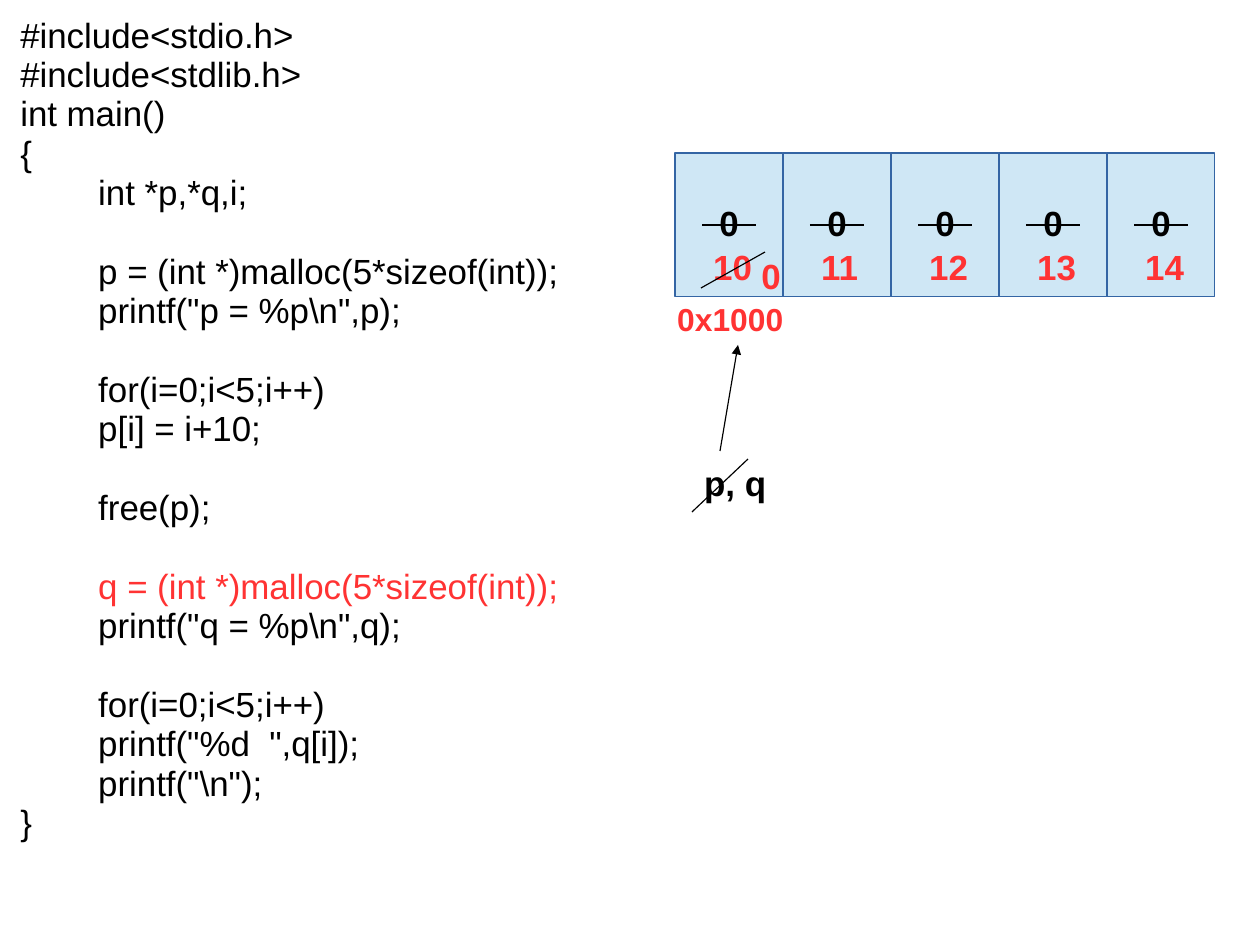
from dataclasses import dataclass

from lxml.etree import SubElement
from pptx import Presentation
from pptx.dml.color import RGBColor
from pptx.enum.shapes import MSO_CONNECTOR, MSO_SHAPE
from pptx.enum.text import MSO_ANCHOR, PP_ALIGN
from pptx.oxml.ns import qn
from pptx.slide import Slide
from pptx.text.text import TextFrame, _Paragraph
from pptx.util import Emu, Pt

EMU_PER_PIXEL = 8000


@dataclass(frozen=True)
class Theme:
    font: str = "Arial"
    black: RGBColor = RGBColor(0x00, 0x00, 0x00)
    red: RGBColor = RGBColor(0xFF, 0x33, 0x33)
    cell_fill: RGBColor = RGBColor(0xCF, 0xE7, 0xF5)
    cell_border: RGBColor = RGBColor(0x34, 0x65, 0xA4)
    text_size: float = 22
    address_size: float = 20
    line_width: float = 0.74
    line_spacing: float = 0.94
    blank_line: float = 24.8


THEME = Theme()


@dataclass(frozen=True)
class Area:
    left: int
    top: int
    width: int
    height: int

    def emu(self) -> list[Emu]:
        return [pixels(n) for n in (self.left, self.top, self.width, self.height)]


@dataclass(frozen=True)
class CodeLine:
    text: str
    indented: bool = True
    gap_before: bool = False
    color: RGBColor = THEME.black


@dataclass(frozen=True)
class Label:
    text: str
    area: Area
    color: RGBColor = THEME.red
    size: float = THEME.text_size


@dataclass(frozen=True)
class Stroke:
    start: tuple[int, int]
    end: tuple[int, int]
    arrow: bool = False


CODE_AREA = Area(9, 11, 598, 880)
CODE_INDENT = 78
CODE = [
    CodeLine("#include<stdio.h>", indented=False),
    CodeLine("#include<stdlib.h>", indented=False),
    CodeLine("int main()", indented=False),
    CodeLine("{", indented=False),
    CodeLine("int *p,*q,i;"),
    CodeLine("p = (int *)malloc(5*sizeof(int));", gap_before=True),
    CodeLine('printf("p = %p\\n",p);'),
    CodeLine("for(i=0;i<5;i++)", gap_before=True),
    CodeLine("p[i] = i+10;"),
    CodeLine("free(p);", gap_before=True),
    CodeLine("q = (int *)malloc(5*sizeof(int));", gap_before=True, color=THEME.red),
    CodeLine('printf("q = %p\\n",q);'),
    CodeLine("for(i=0;i<5;i++)", gap_before=True),
    CodeLine('printf("%d  ",q[i]);'),
    CodeLine('printf("\\n");'),
    CodeLine("}", indented=False),
]

FIRST_CELL = Area(675, 153, 108, 144)
STORED_VALUES = range(10, 15)

LABELS = [
    Label("0x1000", Area(666, 297, 135, 49), size=THEME.address_size),
    Label("p, q", Area(693, 459, 90, 53), color=THEME.black),
    Label("0", Area(750, 252, 48, 54)),
]
STROKES = [
    Stroke((720, 451), (738, 345), arrow=True),
    Stroke((765, 252), (701, 288)),
    Stroke((748, 459), (692, 512)),
]


def pixels(count: int) -> Emu:
    return Emu(count * EMU_PER_PIXEL)


def add_span(para: _Paragraph, text: str, color: RGBColor,
             size: float = THEME.text_size, bold: bool = False) -> None:
    para.line_spacing = THEME.line_spacing
    span = para.add_run()
    span.text = text
    span.font.name = THEME.font
    span.font.size = Pt(size)
    span.font.bold = bold
    span.font.color.rgb = color


def add_text_frame(page: Slide, area: Area) -> TextFrame:
    frame = page.shapes.add_textbox(*area.emu()).text_frame
    frame.word_wrap = True
    return frame


def add_code(page: Slide) -> None:
    frame = add_text_frame(page, CODE_AREA)
    for number, line in enumerate(CODE):
        para = frame.add_paragraph() if number else frame.paragraphs[0]
        if line.indented:
            para._p.get_or_add_pPr().set("marL", str(pixels(CODE_INDENT)))
        if line.gap_before:
            para.space_before = Pt(THEME.blank_line)
        add_span(para, line.text, line.color)


def add_label(page: Slide, label: Label) -> None:
    para = add_text_frame(page, label.area).paragraphs[0]
    add_span(para, label.text, label.color, label.size, bold=True)


def add_stroke(page: Slide, stroke: Stroke) -> None:
    ends = [pixels(n) for n in stroke.start + stroke.end]
    connector = page.shapes.add_connector(MSO_CONNECTOR.STRAIGHT, *ends)
    connector.line.color.rgb = THEME.black
    connector.line.width = Pt(THEME.line_width)
    if stroke.arrow:
        SubElement(connector.line._get_or_add_ln(), qn("a:tailEnd"), type="triangle")
    SubElement(connector._element.spPr, qn("a:effectLst"))


def add_cell(page: Slide, area: Area, value: int) -> None:
    box = page.shapes.add_shape(MSO_SHAPE.RECTANGLE, *area.emu())
    box.shadow.inherit = False
    box.fill.solid()
    box.fill.fore_color.rgb = THEME.cell_fill
    box.line.color.rgb = THEME.cell_border
    box.line.width = Pt(THEME.line_width)
    box.text_frame.vertical_anchor = MSO_ANCHOR.MIDDLE
    para = box.text_frame.paragraphs[0]
    para.alignment = PP_ALIGN.CENTER
    add_span(para, "0", THEME.black, bold=True)

    # Strike out the initial zero and write the stored value below it
    left, middle = area.left + area.width // 4, area.top + area.height // 2
    add_stroke(page, Stroke((left, middle), (left + area.width // 2, middle)))
    add_label(page, Label(str(value), Area(left, middle + 18, 70, 54)))


deck = Presentation()
deck.slide_width, deck.slide_height = pixels(1260), pixels(945)
page = deck.slides.add_slide(deck.slide_layouts[6])

# Program listing
add_code(page)

# Allocated memory
for index, value in enumerate(STORED_VALUES):
    cell_left = FIRST_CELL.left + index * FIRST_CELL.width
    add_cell(page, Area(cell_left, FIRST_CELL.top, FIRST_CELL.width, FIRST_CELL.height), value)

# Address, pointers and the crossed-out entries
for label in LABELS:
    add_label(page, label)
for stroke in STROKES:
    add_stroke(page, stroke)

deck.save("out.pptx")
